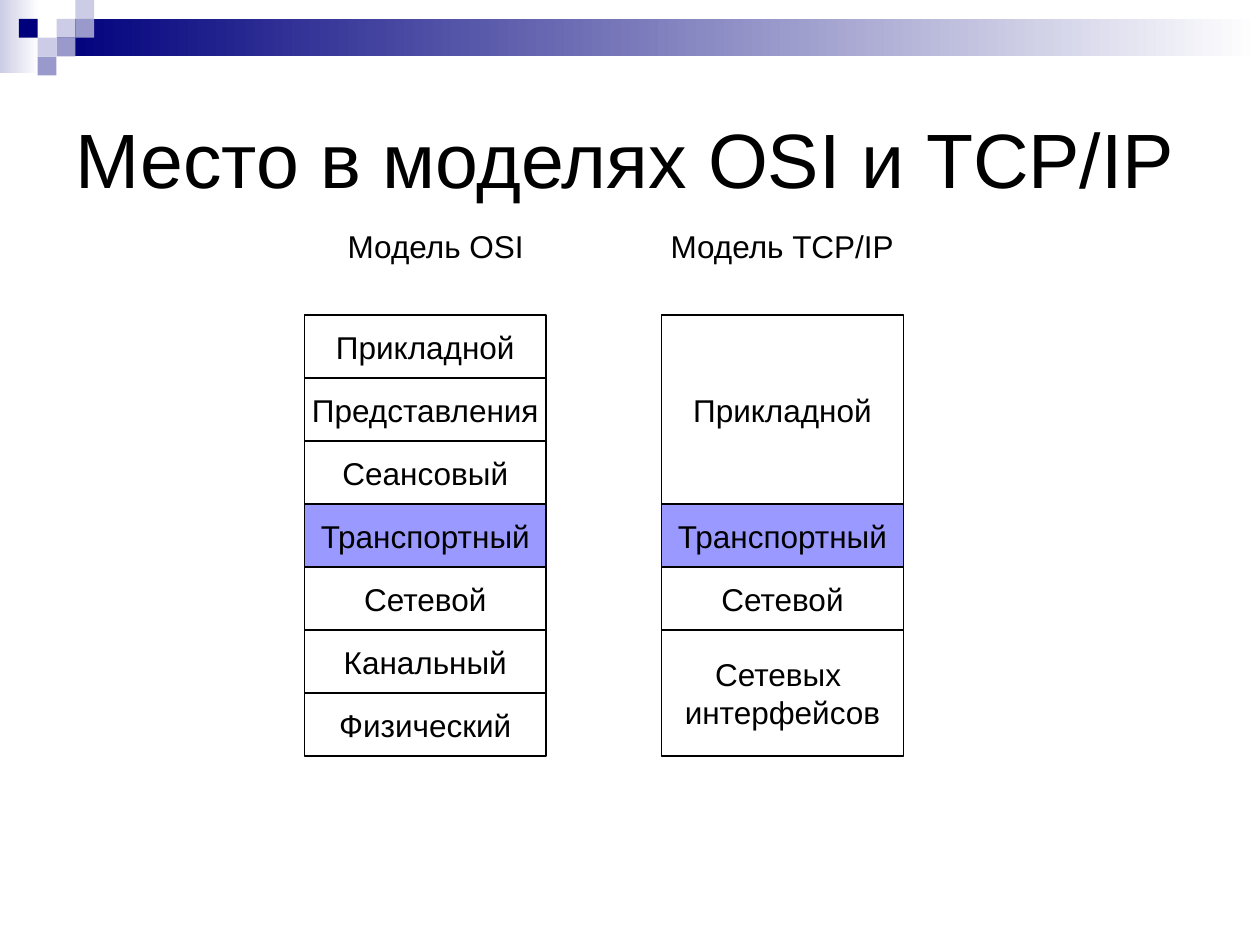
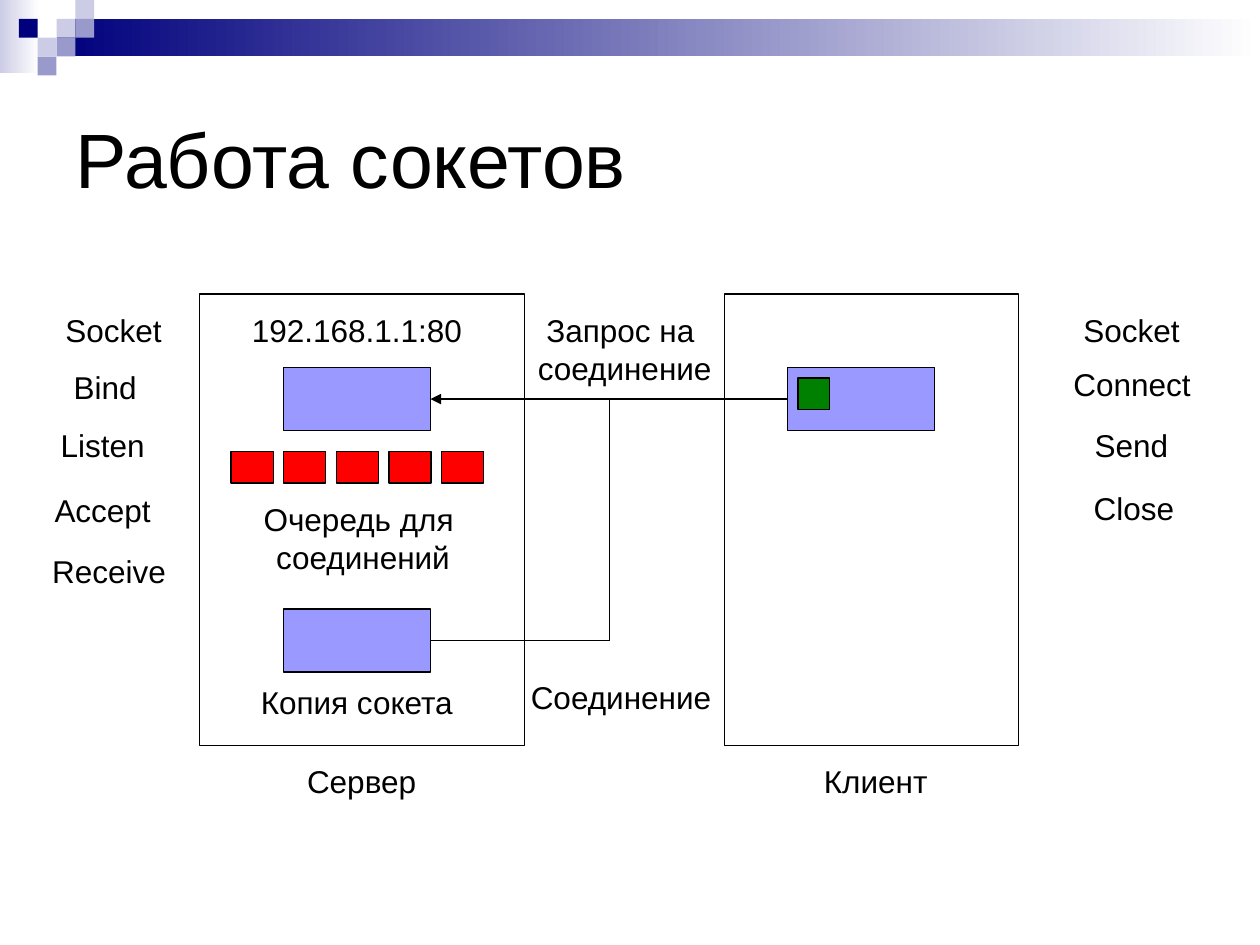
from dataclasses import dataclass
from typing import NamedTuple, Optional

from lxml import etree
from pptx import Presentation
from pptx.dml.color import RGBColor
from pptx.enum.shapes import MSO_CONNECTOR, MSO_SHAPE
from pptx.enum.text import MSO_ANCHOR, MSO_AUTO_SIZE, PP_ALIGN
from pptx.oxml.ns import qn
from pptx.shapes.autoshape import Shape
from pptx.slide import Slide
from pptx.util import Cm, Pt

RECTANGLE = MSO_SHAPE.RECTANGLE
STRAIGHT = MSO_CONNECTOR.STRAIGHT
LEFT, CENTER = PP_ALIGN.LEFT, PP_ALIGN.CENTER
TOP, MIDDLE = MSO_ANCHOR.TOP, MSO_ANCHOR.MIDDLE
FIT_SHAPE, FIXED_SHAPE = MSO_AUTO_SIZE.SHAPE_TO_FIT_TEXT, MSO_AUTO_SIZE.NONE
LEFT_SIDE, RIGHT_SIDE = 1, 3

BLACK = RGBColor(0x00, 0x00, 0x00)
WHITE = RGBColor(0xFF, 0xFF, 0xFF)
NAVY = RGBColor(0x00, 0x00, 0x7D)
LAVENDER = RGBColor(0xCC, 0xCC, 0xE6)
DUSTY_BLUE = RGBColor(0x99, 0x99, 0xCC)
PERIWINKLE = RGBColor(0x99, 0x99, 0xFF)
RED = RGBColor(0xFF, 0x00, 0x00)
GREEN = RGBColor(0x00, 0x80, 0x00)

FONT = "Arial"
LINE_WIDTH = Pt(0.75)
SLIDE_WIDTH, SLIDE_HEIGHT = 25.4, 19.05
TILE = 0.38
LABEL_PADDING, LABEL_LINE = 0.26, 0.76
ROW_HEIGHT, LAYERS_TOP, LAYER_WIDTH = 1.27, 6.35, 4.87
FRAME_TOP, FRAME_HEIGHT = 5.93, 9.1
SOCKET_WIDTH, SOCKET_HEIGHT = 2.96, 1.27
ELBOW_X = 12.28
QUEUE_LENGTH, QUEUE_LEFT, QUEUE_PITCH = 5, 4.66, 1.06


class Area(NamedTuple):
    left: float
    top: float
    width: float
    height: float


class Tile(NamedTuple):
    column: int
    row: int
    color: RGBColor


class Layer(NamedTuple):
    name: str
    rows: int = 1


@dataclass(frozen=True)
class Model:
    name: str
    left: float
    heading_left: float
    heading_width: float
    layers: tuple[Layer, ...]


@dataclass(frozen=True)
class Label:
    text: str
    left: float
    top: float
    width: float


@dataclass(frozen=True)
class Joint:
    x: int
    y: int
    box: Optional[Shape] = None
    side: int = 0


TILES = (
    Tile(3, 1, LAVENDER),
    Tile(4, 0, LAVENDER),
    Tile(4, 1, DUSTY_BLUE),
    Tile(2, 2, LAVENDER),
    Tile(1, 1, NAVY),
    Tile(3, 2, DUSTY_BLUE),
    Tile(2, 3, DUSTY_BLUE),
)

TRANSPORT = "Транспортный"
MODELS = (
    Model("Модель OSI", 6.14, 6.35, 4.87, (
        Layer("Прикладной"),
        Layer("Представления"),
        Layer("Сеансовый"),
        Layer(TRANSPORT),
        Layer("Сетевой"),
        Layer("Канальный"),
        Layer("Физический"),
    )),
    Model("Модель TCP/IP", 13.34, 12.91, 5.72, (
        Layer("Прикладной", 3),
        Layer(TRANSPORT),
        Layer("Сетевой"),
        Layer("Сетевых \nинтерфейсов", 2),
    )),
)

SOCKET_LABELS = (
    Label("Сервер", 5.93, 15.24, 2.72),
    Label("Клиент", 16.36, 15.24, 2.59),
    Label("Socket", 1.06, 6.14, 2.46),
    Label("Bind", 1.22, 7.29, 1.8),
    Label("Listen", 0.97, 8.46, 2.2),
    Label("Accept", 0.84, 9.78, 2.46),
    Label("Receive", 0.79, 11, 2.82),
    Label("192.168.1.1:80", 4.02, 6.14, 6.35),
    Label("Очередь для \nсоединений", 5.05, 9.95, 4.54),
    Label("Копия сокета", 4.02, 13.64, 6.35),
    Label("Запрос на \nсоединение", 10.58, 6.14, 4.03),
    Label("Соединение", 10.43, 13.54, 4.18),
    Label("Socket", 21.58, 6.14, 2.46),
    Label("Connect", 21.38, 7.24, 2.88),
    Label("Send", 21.81, 8.46, 2),
    Label("Close", 21.79, 9.73, 2.14),
)


def write_text(box: Shape, text: str, *, size: int = 18, align=CENTER,
               anchor=MIDDLE, wrap: bool = False, fit=FIXED_SHAPE) -> None:
    frame = box.text_frame
    frame.word_wrap = wrap
    frame.auto_size = fit
    frame.vertical_anchor = anchor
    for index, line in enumerate(text.split("\n")):
        para = frame.add_paragraph() if index else frame.paragraphs[0]
        para.alignment = align
        span = para.add_run()
        span.text = line
        span.font.name = FONT
        span.font.size = Pt(size)
        span.font.color.rgb = BLACK


def draw_box(page: Slide, area: Area, fill: Optional[RGBColor] = None,
             *, fade: bool = False, outlined: bool = True) -> Shape:
    box = page.shapes.add_shape(RECTANGLE, *map(Cm, area))
    box.shadow.inherit = False
    if fade:
        box.fill.gradient()
        box.fill.gradient_angle = 0
        for stop, color in zip(box.fill.gradient_stops, (fill, WHITE)):
            stop.color.rgb = color
    elif fill is not None:
        box.fill.solid()
        box.fill.fore_color.rgb = fill
    else:
        box.fill.background()
    if outlined:
        box.line.color.rgb = BLACK
        box.line.width = LINE_WIDTH
    else:
        box.line.fill.background()
    return box


def draw_label(page: Slide, label: Label) -> None:
    height = LABEL_PADDING + LABEL_LINE * len(label.text.split("\n"))
    area = Area(label.left, label.top, label.width, height)
    box = page.shapes.add_textbox(*map(Cm, area))
    write_text(box, label.text, anchor=TOP, fit=FIT_SHAPE)


def side_joint(box: Shape, side: int) -> Joint:
    x = box.left + (box.width if side == RIGHT_SIDE else 0)
    return Joint(x, box.top + box.height // 2, box, side)


def draw_line(page: Slide, start: Joint, finish: Joint, *, arrow: bool = False) -> None:
    line = page.shapes.add_connector(STRAIGHT, start.x, start.y, finish.x, finish.y)
    if start.box is not None:
        line.begin_connect(start.box, start.side)
    if finish.box is not None:
        line.end_connect(finish.box, finish.side)
    line.line.color.rgb = BLACK
    line.line.width = LINE_WIDTH
    properties = line._element.spPr
    if arrow:
        etree.SubElement(properties.find(qn("a:ln")), qn("a:tailEnd"), type="triangle")
    etree.SubElement(properties, qn("a:effectLst"))


def add_page(deck, title: str) -> Slide:
    page = deck.slides.add_slide(deck.slide_layouts[6])
    draw_box(page, Area(0, 0, 0.79, 1.47), LAVENDER, fade=True, outlined=False)
    band = Area(3 * TILE, TILE, SLIDE_WIDTH - 3 * TILE, 2 * TILE)
    draw_box(page, band, NAVY, fade=True, outlined=False)
    for tile in TILES:
        area = Area(tile.column * TILE, tile.row * TILE, TILE, TILE)
        draw_box(page, area, tile.color, outlined=False)
    heading = page.shapes.add_textbox(Cm(1.27), Cm(1.27), Cm(22.86), Cm(3.81))
    write_text(heading, title, size=44, align=LEFT, wrap=True)
    return page


def draw_model(page: Slide, model: Model) -> None:
    draw_label(page, Label(model.name, model.heading_left, 4.45, model.heading_width))
    top = LAYERS_TOP
    for layer in model.layers:
        height = layer.rows * ROW_HEIGHT
        fill = PERIWINKLE if layer.name == TRANSPORT else None
        box = draw_box(page, Area(model.left, top, LAYER_WIDTH, height), fill)
        write_text(box, layer.name)
        top += height


def draw_socket(page: Slide, left: float, top: float) -> Shape:
    return draw_box(page, Area(left, top, SOCKET_WIDTH, SOCKET_HEIGHT), PERIWINKLE)


def build_models_page(deck) -> None:
    page = add_page(deck, "Место в моделях OSI и TCP/IP")
    for model in MODELS:
        draw_model(page, model)


def build_sockets_page(deck) -> None:
    page = add_page(deck, "Работа сокетов")
    for left, width in ((4.02, 6.56), (14.61, 5.93)):
        draw_box(page, Area(left, FRAME_TOP, width, FRAME_HEIGHT))

    server_socket = draw_socket(page, 5.72, 7.41)
    socket_copy = draw_socket(page, 5.72, 12.28)
    client_socket = draw_socket(page, 15.88, 7.41)
    for index in range(QUEUE_LENGTH):
        draw_box(page, Area(QUEUE_LEFT + index * QUEUE_PITCH, 9.1, 0.85, 0.64), RED)

    request_start = side_joint(client_socket, LEFT_SIDE)
    copy_exit = side_joint(socket_copy, RIGHT_SIDE)
    lower_elbow = Joint(Cm(ELBOW_X), copy_exit.y)
    upper_elbow = Joint(Cm(ELBOW_X), request_start.y)
    draw_line(page, request_start, side_joint(server_socket, RIGHT_SIDE), arrow=True)
    draw_line(page, copy_exit, lower_elbow)
    draw_line(page, lower_elbow, upper_elbow)
    draw_line(page, upper_elbow, request_start)

    draw_box(page, Area(16.09, 7.62, 0.64, 0.64), GREEN)
    for label in SOCKET_LABELS:
        draw_label(page, label)


def main() -> None:
    deck = Presentation()
    deck.slide_width = Cm(SLIDE_WIDTH)
    deck.slide_height = Cm(SLIDE_HEIGHT)
    build_models_page(deck)
    build_sockets_page(deck)
    deck.save("out.pptx")


if __name__ == "__main__":
    main()
